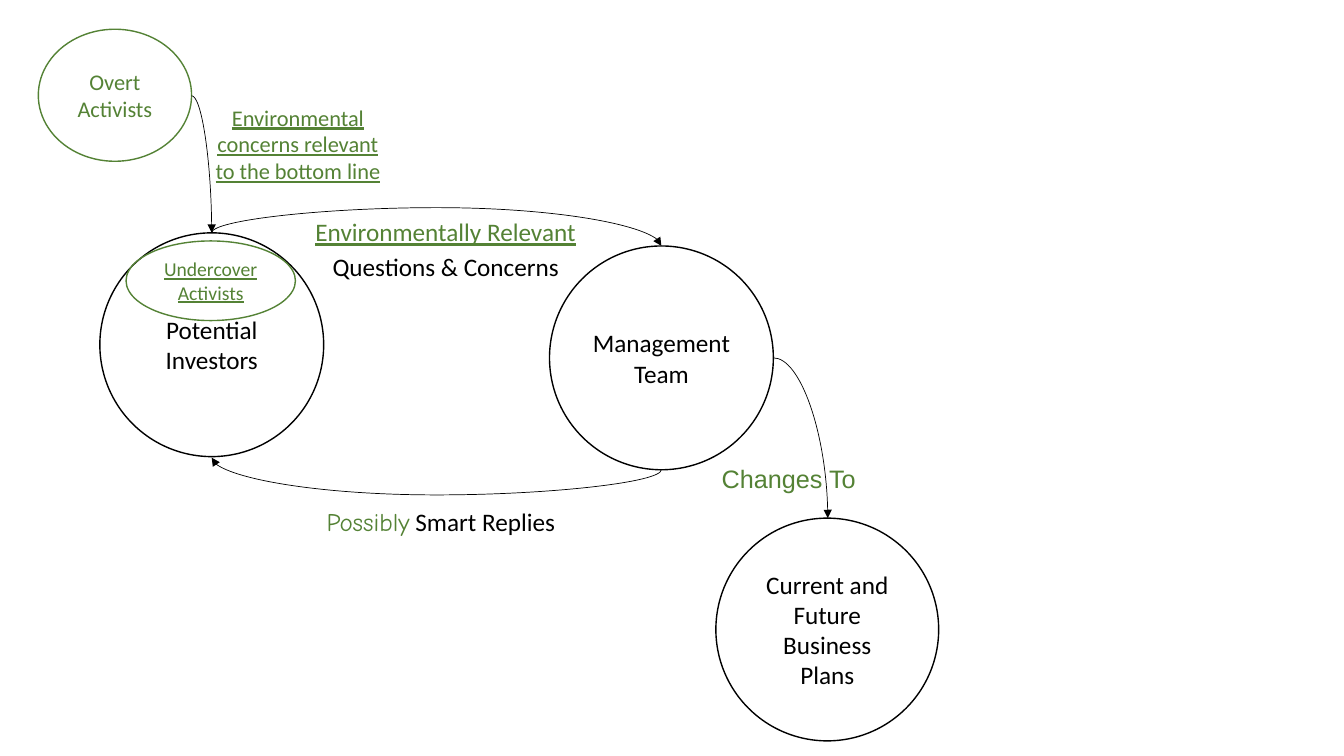
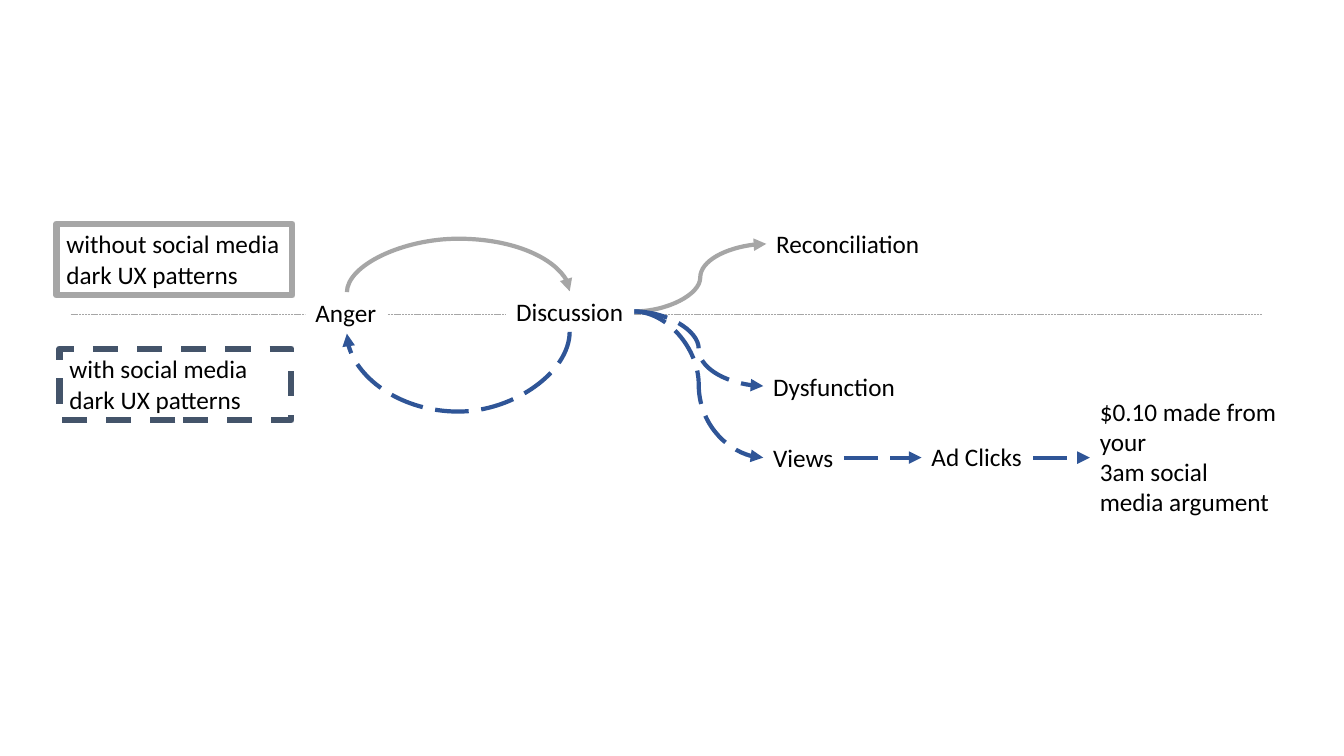
from pptx import Presentation
from pptx.dml.color import RGBColor
from pptx.enum.dml import MSO_LINE
from pptx.enum.shapes import MSO_CONNECTOR, MSO_SHAPE
from pptx.enum.text import MSO_ANCHOR, PP_ALIGN
from pptx.oxml.ns import qn
from pptx.util import Inches, Pt
from lxml.etree import SubElement

BLACK = RGBColor(0x00, 0x00, 0x00)
WHITE = RGBColor(0xFF, 0xFF, 0xFF)
GREEN = RGBColor(0x54, 0x82, 0x35)
GRAY = RGBColor(0xA6, 0xA6, 0xA6)
BLUE = RGBColor(0x2F, 0x55, 0x97)
SLATE = RGBColor(0x44, 0x54, 0x6A)
OVAL, RECT = MSO_SHAPE.OVAL, MSO_SHAPE.RECTANGLE
CURVE, LINE = MSO_CONNECTOR.CURVE, MSO_CONNECTOR.STRAIGHT

prs = Presentation()
prs.slide_width, prs.slide_height = Inches(13.33), Inches(7.5)
blank = prs.slide_layouts[6]


def put(slide, box, lines, kind=None, size=18, font="Calibri", color=BLACK,
        under=None, wrap=False, center=False, fill=None, edge=None, width=1):
    """Add a text box, or a shape of the given kind, with one run per line."""
    area = [Inches(v) for v in box]
    if kind is None:
        shape = slide.shapes.add_textbox(*area)
    else:
        shape = slide.shapes.add_shape(kind, *area)
        shape.shadow.inherit = False
        if fill is None:
            shape.fill.background()
        else:
            shape.fill.solid()
            shape.fill.fore_color.rgb = fill
        if edge is None:
            shape.line.fill.background()
        else:
            shape.line.color.rgb = edge
            shape.line.width = Pt(width)
    frame = shape.text_frame
    frame.word_wrap = wrap
    frame.vertical_anchor = MSO_ANCHOR.MIDDLE if kind == OVAL else MSO_ANCHOR.TOP
    for i, line in enumerate(lines):
        para = frame.paragraphs[0] if i == 0 else frame.add_paragraph()
        para.alignment = PP_ALIGN.CENTER if center else PP_ALIGN.LEFT
        run = para.add_run()
        run.text = line
        run.font.size, run.font.name = Pt(size), font
        run.font.color.rgb, run.font.underline = color, under
    return shape


def link(slide, start, end, color=BLACK, width=0.5, dash=None, kind=CURVE,
         head=True, bend=None, turn=0, flips=(), quarter=False):
    """Connect two points; bend is the height that a turned curve reaches."""
    (x1, y1), (x2, y2) = start, end
    wire = slide.shapes.add_connector(kind, *[Inches(v) for v in (x1, y1, x2, y2)])
    wire.line.color.rgb = color
    wire.line.width = Pt(width)
    if dash:
        wire.line.dash_style = dash
    props = wire._element.spPr
    if head:
        SubElement(props.find(qn("a:ln")), qn("a:tailEnd"), type="triangle")
    SubElement(props, qn("a:effectLst"))
    geom = props.find(qn("a:prstGeom"))
    if quarter:
        geom.set("prst", "curvedConnector2")
    if bend is not None:
        # A quarter turn swaps width and height about the middle
        wide, high = abs(y2 - y1), abs(x2 - x1)
        wire.left = Inches((x1 + x2 - wide) / 2)
        wire.top = Inches((y1 + y2 - high) / 2)
        wire.width, wire.height = Inches(wide), Inches(high)
        frame = props.find(qn("a:xfrm"))
        for name in ("flipH", "flipV"):
            frame.set(name, "1" if name in flips else "0")
        frame.set("rot", str(turn * 60000))
        ratio = round((bend - y1) / (y2 - y1) * 100000)
        SubElement(geom.find(qn("a:avLst")), qn("a:gd"),
                   name="adj1", fmla=f"val {ratio}")


# Slide 1: activists, investors and management
slide = prs.slides.add_slide(blank)
for box, lines in [
    ((0.99, 2.31, 2.22, 2.22), ["Potential", "Investors"]),
    ((5.45, 2.44, 2.22, 2.22), ["Management", "Team"]),
    ((7.1, 5.14, 2.21, 2.21), ["Current and Future Business Plans"]),
]:
    put(slide, box, lines, OVAL, wrap=True, center=True, edge=BLACK)
put(slide, (1.25, 2.39, 1.68, 0.79), ["Undercover", "Activists"], OVAL, size=14,
    color=GREEN, under=True, wrap=True, center=True, edge=GREEN)
put(slide, (0.38, 0.29, 1.52, 1.31), ["Overt", "Activists"], OVAL, size=16,
    color=GREEN, wrap=True, center=True, edge=GREEN)

# Arrows between the circles
link(slide, (2.1, 2.31), (6.56, 2.44), bend=2.06, turn=270, flips=["flipH"])
link(slide, (6.56, 4.66), (2.1, 4.54), bend=4.91, turn=90, flips=["flipH"])
link(slide, (1.9, 0.95), (2.1, 2.31), quarter=True)
link(slide, (7.67, 3.55), (8.21, 5.14), quarter=True)

# Arrow labels
put(slide, (1.94, 0.98, 2.03, 0.91),
    ["Environmental concerns relevant to the bottom line"],
    size=16, color=GREEN, under=True, wrap=True, center=True)
put(slide, (3.03, 2.1, 2.81, 0.4), ["Environmentally Relevant"],
    color=GREEN, under=True)
put(slide, (3.2, 2.44, 2.47, 0.4), ["Questions & Concerns"])
put(slide, (7.06, 4.55, 1.54, 0.4), ["Changes To"], font="Arial", color=GREEN)
reply = put(slide, (3.14, 4.97, 2.59, 0.4), ["Possibly"],
            font="Comic Neue", color=GREEN)
run = reply.text_frame.paragraphs[0].add_run()
run.text = " Smart Replies"
run.font.size, run.font.name = Pt(18), "Calibri"
run.font.color.rgb = BLACK

# Slide 2: discussion with and without dark patterns
slide = prs.slides.add_slide(blank)
link(slide, (0.7, 3.12), (12.52, 3.12), GRAY, dash=MSO_LINE.SQUARE_DOT,
     kind=LINE, head=False)

# Outcomes
for box, text in [
    ((7.57, 3.63, 1.42, 0.4), "Dysfunction"),
    ((7.6, 2.22, 1.64, 0.4), "Reconciliation"),
    ((7.57, 4.34, 0.81, 0.4), "Views"),
    ((9.14, 4.33, 1.11, 0.4), "Ad Clicks"),
]:
    put(slide, box, [text])
put(slide, (10.81, 3.88, 1.95, 1.31),
    ["$0.10 made from your", "3am social media argument"], wrap=True)

# Gray arrows without the patterns, dashed blue ones with them
fork = (6.29, 3.09)
link(slide, (3.44, 2.9), (5.65, 2.89), GRAY, 3, bend=2.36, turn=90,
     flips=["flipH", "flipV"])
link(slide, fork, (7.6, 2.42), GRAY, 3)
for start, end in [
    (fork, (7.57, 3.83)),
    (fork, (7.57, 4.54)),
    ((8.37, 4.54), (9.14, 4.54)),
    ((10.25, 4.54), (10.81, 4.54)),
]:
    link(slide, start, end, BLUE, 3, MSO_LINE.LONG_DASH)
link(slide, (5.65, 3.29), (3.44, 3.31), BLUE, 3, MSO_LINE.LONG_DASH,
     bend=4.08, turn=90)

# Stages on the middle line
put(slide, (3.03, 2.9, 0.81, 0.4), ["Anger"], RECT, fill=WHITE)
put(slide, (5.02, 2.89, 1.27, 0.4), ["Discussion"], RECT, fill=WHITE)

# Key
key = put(slide, (0.59, 3.46, 2.3, 0.71),
          ["with social media", "dark UX patterns"], RECT, wrap=True,
          edge=SLATE, width=4.5)
key.line.dash_style = MSO_LINE.DASH
put(slide, (0.56, 2.22, 2.34, 0.71),
    ["without social media", "dark UX patterns"], RECT, edge=GRAY, width=4.5)

prs.save("out.pptx")
